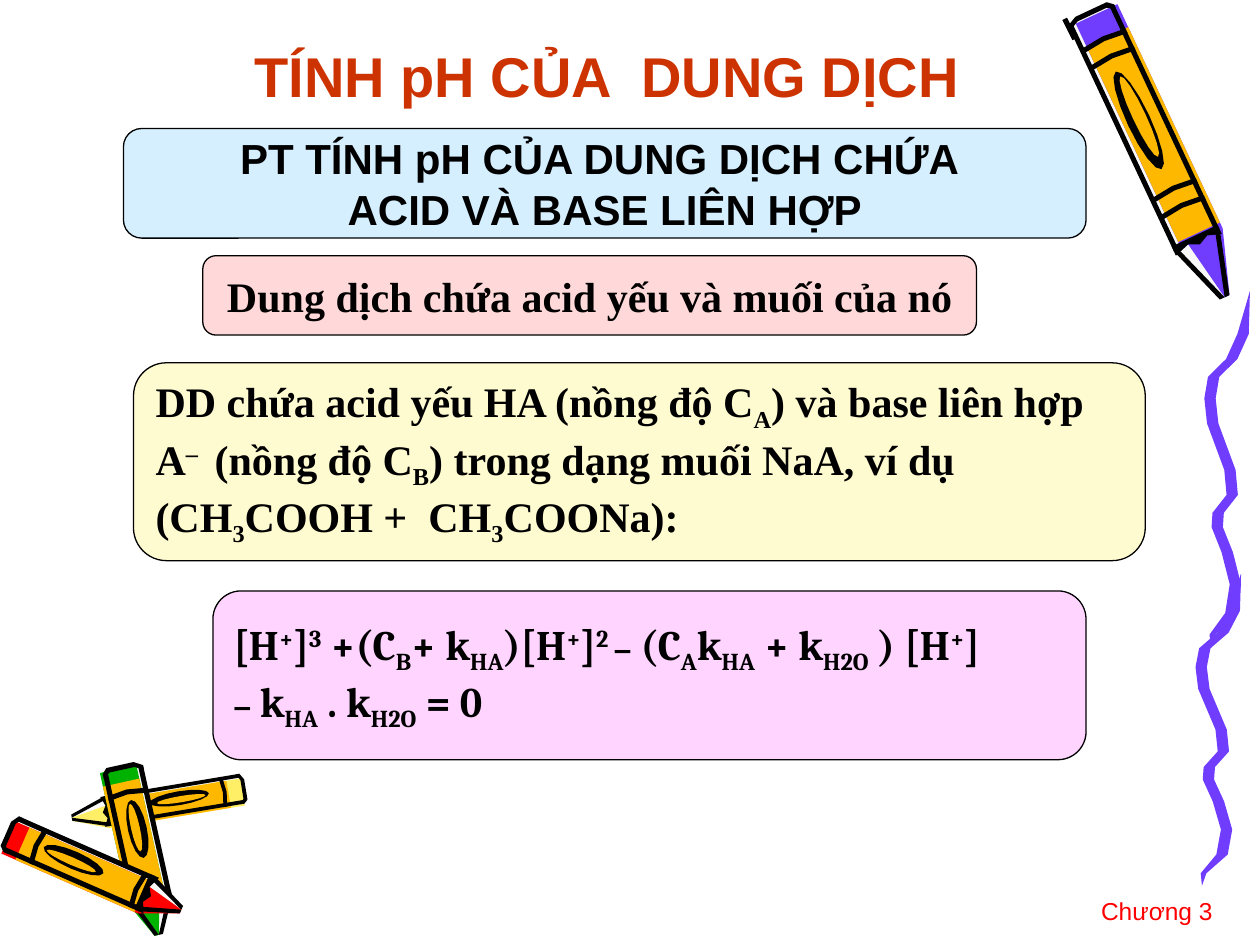
from dataclasses import dataclass
from math import cos, hypot, pi, sin
from typing import NamedTuple

from lxml import etree
from pptx import Presentation
from pptx import util as u
from pptx.dml.color import RGBColor
from pptx.enum import shapes, text
from pptx.oxml.ns import qn

COLOURS = {
    "black": "000000", "white": "F8F8F8", "violet": "703DFF", "amber": "FFB800",
    "lemon": "FFEF66", "red": "FF0000", "green": "00B200", "rust": "CC3300",
    "sky": "D5EFFF", "rose": "FFD9D9", "cream": "FFFBD1", "pink": "FFD5FF",
}
LEFT, CENTER, JUSTIFY = text.PP_ALIGN.LEFT, text.PP_ALIGN.CENTER, text.PP_ALIGN.JUSTIFY
BASELINES = {"_": "-25000", "^": "30000"}
Point = tuple[float, float]
Box = tuple[float, float, float, float]


@dataclass
class Crayon:
    """A crayon from tail to tip; side is 1 or -1 and turns the highlight over."""
    tail: Point
    tip: Point
    width: float
    colour: str
    bands: tuple[float, ...]
    ink: float = 0.04
    side: int = 1

    @property
    def length(self) -> float:
        return hypot(self.tip[0] - self.tail[0], self.tip[1] - self.tail[1])

    def place(self, along: float, across: float) -> Point:
        """Slide position for a share of the length and a share of the width off the axis."""
        run, rise = self.tip[0] - self.tail[0], self.tip[1] - self.tail[1]
        offset = across * self.side * self.width / self.length
        return (self.tail[0] + along * run + offset * rise,
                self.tail[1] + along * rise - offset * run)


class Card(NamedTuple):
    box: Box
    colour: str
    font: str
    align: int
    lines: list[str]


BIG_CRAYON = Crayon((8.65, 0.08), (9.72, 2.36), 0.42, "violet", (0.1, 0.16, 0.62, 0.68))
SMALL_CRAYONS = [
    Crayon((1.95, 6.26), (0.57, 6.49), 0.25, "lemon", (0.12, 0.76), ink=0.03),
    Crayon((0.96, 6.07), (1.26, 7.42), 0.34, "green", (0.16,), side=-1),
    Crayon((0.05, 6.61), (1.44, 7.22), 0.32, "red", (0.17, 0.74), side=-1),
]
SHOULDER = 0.8  # where the barrel of a crayon ends and its cone begins

# Centre line of one wave of the ribbon, as shares of its box
WAVE = [(0.85, 0.12), (0.6, 0.19), (0.2, 0.24), (0.12, 0.3), (0.18, 0.37), (0.56, 0.5),
        (0.61, 0.57), (0.3, 0.62), (0.28, 0.66), (0.5, 0.73), (0.68, 0.82), (0.58, 0.9)]
RIBBON_BOXES = [(9.49, 4.55, 0.36, 2.48), (9.56, 2.31, 0.36, 2.84)]

CARDS = [
    Card((0.98, 1.02, 7.64, 0.87), "sky", "Arial", CENTER,
         ["PT TÍNH pH CỦA DUNG DỊCH CHỨA ", "ACID VÀ BASE LIÊN HỢP"]),
    Card((1.61, 2.03, 6.14, 0.63), "rose", "Times New Roman", CENTER,
         ["Dung dịch chứa acid yếu và muối của nó"]),
    Card((1.06, 2.88, 8.03, 1.57), "cream", "Times New Roman", LEFT,
         ["DD chứa acid yếu HA (nồng độ C|_A|) và base liên hợp",
          "A|^– | (nồng độ C|_B|) trong dạng muối NaA, ví dụ",
          "(CH|_3|COOH +  CH|_3|COONa):"]),
    Card((1.69, 4.69, 6.93, 1.34), "pink", "Cambria", JUSTIFY,
         ["[H|^+|]|^3| +(C|_B|+ k|_HA|)[H|^+|]|^2 |#–| (C|_A|k|_HA| + k|_H2O| ) [H|^+|] ",
          "#– |k|_HA| . k|_H2O| = 0"]),
]


def rgb(name: str) -> RGBColor:
    return RGBColor.from_string(COLOURS[name])


def inches(values) -> list[u.Length]:
    return [u.Inches(value) for value in values]


def write_text(shape, lines: list[str], *, font: str, size: float = 24, colour: str = "black",
               bold: bool = True, align: int = LEFT, before: float = 0,
               anchor=text.MSO_ANCHOR.MIDDLE) -> None:
    """Write one paragraph per line; | parts runs, led by _ (sub), ^ (super) or # (small Arial)."""
    frame = shape.text_frame
    frame.word_wrap = True
    frame.vertical_anchor = anchor
    for index, line in enumerate(lines):
        paragraph = frame.paragraphs[0] if index == 0 else frame.add_paragraph()
        paragraph.alignment = align
        paragraph.space_before = u.Pt(before)
        for piece in line.split("|"):
            mark = piece[0] if piece[0] in "_^#" else ""
            run = paragraph.add_run()
            run.text = piece[len(mark):]
            run.font.name = "Arial" if mark == "#" else font
            run.font.size = u.Pt(18 if mark == "#" else size)
            run.font.bold = bold
            run.font.color.rgb = rgb(colour)
            if mark in BASELINES:
                run.font._element.set("baseline", BASELINES[mark])


def draw_outline(slide, points: list[Point], colour: str) -> None:
    corners = [inches(point) for point in points]
    builder = slide.shapes.build_freeform(*corners[0])
    builder.add_line_segments(corners[1:], close=True)
    shape = builder.convert_to_shape()
    shape.shadow.inherit = False
    shape.fill.solid()
    shape.fill.fore_color.rgb = rgb(colour)
    shape.line.fill.background()


def ellipse(along: float, across: float, half_length: float, half_width: float) -> list[Point]:
    angles = [step * pi / 8 for step in range(16)]
    return [(along + half_length * cos(angle), across + half_width * sin(angle)) for angle in angles]


def draw_crayon(slide, crayon: Crayon) -> None:
    """Draw fills first, then the ink lines, all in the crayon's own axes."""
    line, rail = crayon.ink / crayon.length, crayon.ink / crayon.width

    def part(points: list[Point], colour: str = "black") -> None:
        draw_outline(slide, [crayon.place(*point) for point in points], colour)

    def bar(start: float, end: float, low: float, high: float, colour: str = "black") -> None:
        part([(start, low), (start, high), (end, high), (end, low)], colour)

    cone = [(SHOULDER, -0.45), (SHOULDER, 0.45), (1, 0.08), (1, -0.08)]
    bar(0, SHOULDER, -0.45, 0.45, "white")
    part(cone, "white")
    bar(0.02, SHOULDER, -0.35, 0.52, crayon.colour)
    part([(SHOULDER, -0.2), (SHOULDER, 0.52), (1, 0.1), (1, 0)], crayon.colour)
    bar(0.1, SHOULDER - 0.02, -0.35, 0.52, "amber")
    for edge in (-0.5, 0.46 - rail):
        bar(line, SHOULDER, edge, edge + rail)
    part([(line, -0.5), (0, -0.3), (0, 0.35), (line, 0.46), (2 * line, 0.46), (line, 0.3),
          (line, -0.3), (2 * line, -0.5)])
    for band in crayon.bands:
        part([(band, -0.46), (band - line / 2, 0), (band, 0.46),
              (band + line, 0.46), (band + line / 2, 0), (band + line, -0.46)])
    part([(SHOULDER - line, -0.5), (SHOULDER - line, 0.46), (SHOULDER + line, 0.46),
          (SHOULDER, 0.2), (SHOULDER + line, 0), (SHOULDER, -0.2), (SHOULDER + line, -0.5)])
    for base, point in ((-0.5, -0.1), (0.46, 0.1)):
        inward = rail if base < 0 else -rail
        part([(SHOULDER, base), (1, point), (1, 0), (SHOULDER, base + inward)])
    part(ellipse(0.38, -0.05, 0.17, 0.22))
    part(ellipse(0.37, -0.01, 0.14, 0.22 - rail), "amber")


def draw_ribbon(slide, box: Box, half_width: float = 0.045) -> None:
    """Draw one wave, pointed at its upper end and cut short at its lower end."""
    left, top, width, height = box
    centre = [(left + across * width, top + down * height) for across, down in WAVE]
    right_side = [(x + half_width, y) for x, y in centre]
    left_side = [(x - half_width, y) for x, y in reversed(centre)]
    foot = left + 0.11 * width
    end = [(foot + half_width, top + 0.96 * height), (foot + 0.01, top + height),
           (foot, top + 0.96 * height)]
    draw_outline(slide, [(left + width, top), *right_side, *end, *left_side], "violet")


def draw_card(slide, card: Card) -> None:
    shape = slide.shapes.add_shape(shapes.MSO_SHAPE.ROUNDED_RECTANGLE, *inches(card.box))
    shape.shadow.inherit = False
    shape.fill.solid()
    shape.fill.fore_color.rgb = rgb(card.colour)
    shape.line.color.rgb = rgb("black")
    shape.line.width = u.Pt(0.75)
    write_text(shape, card.lines, font=card.font, align=card.align)


def draw_stroke(slide, ends: Box, width: float) -> None:
    stroke = slide.shapes.add_connector(shapes.MSO_CONNECTOR.STRAIGHT, *inches(ends))
    stroke.line.color.rgb = rgb("black")
    stroke.line.width = u.Pt(width)
    etree.SubElement(stroke._element.spPr, qn("a:effectLst"))


def main() -> None:
    presentation = Presentation()
    presentation.slide_width, presentation.slide_height = inches((10, 7.5))
    slide = presentation.slides.add_slide(presentation.slide_layouts[6])
    for box in RIBBON_BOXES:
        draw_ribbon(slide, box)
    for crayon in [*SMALL_CRAYONS, BIG_CRAYON]:
        draw_crayon(slide, crayon)
    draw_stroke(slide, (8.45, 0.15, 8.53, 0.31), 3)
    chapter = slide.shapes.add_textbox(*inches((8.64, 7.06, 1.16, 0.34)))
    write_text(chapter, ["Chương 3"], font="Arial", size=14, colour="red", bold=False,
               before=8.8, anchor=text.MSO_ANCHOR.TOP)
    for card in CARDS:
        draw_card(slide, card)
    title = slide.shapes.add_textbox(*inches((1.22, 0.28, 7.32, 0.64)))
    write_text(title, ["TÍNH pH CỦA  DUNG DỊCH "], font="Arial", size=32, colour="rust", align=CENTER)
    presentation.save("out.pptx")


if __name__ == "__main__":
    main()
